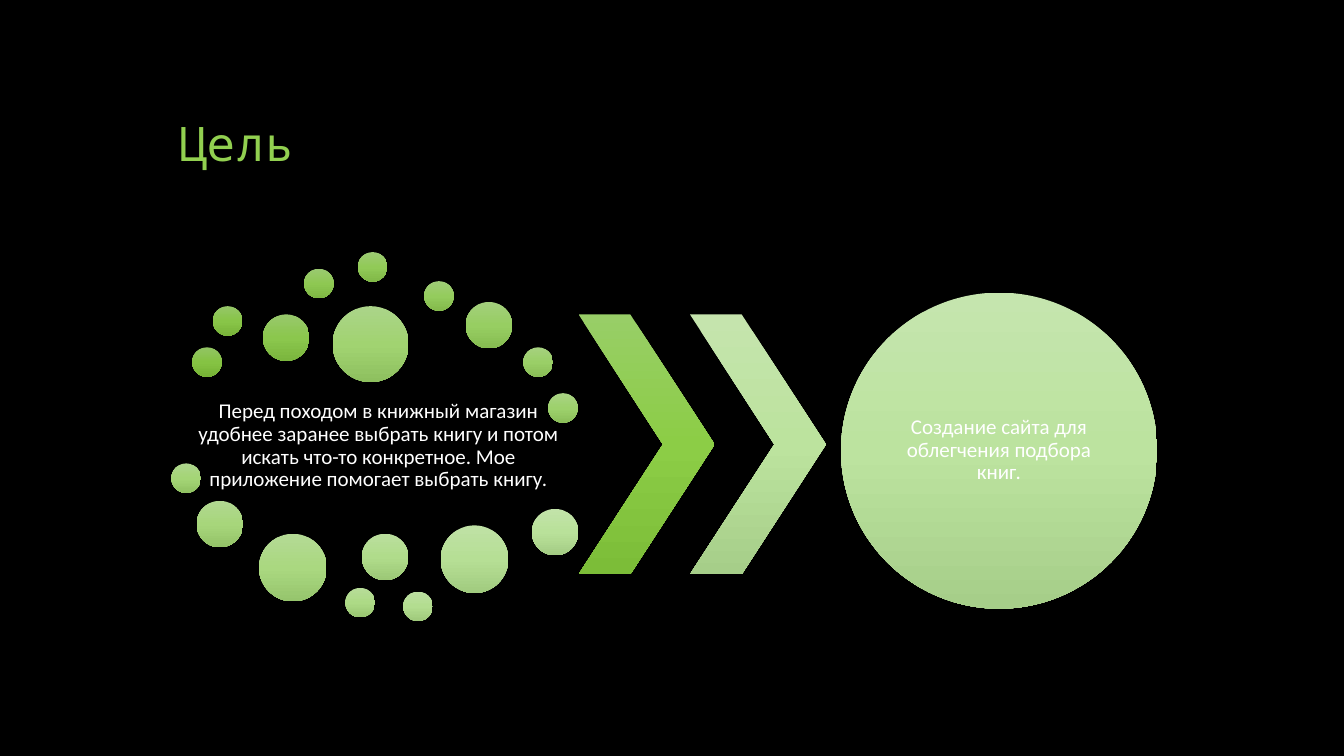
import copy

import pptx
import pptx.dml.color
import pptx.enum.shapes
import pptx.enum.text
import pptx.oxml.ns
import pptx.util

COLUMNS, ROWS = 80, 45
SMALL, MEDIUM, LARGE, LARGEST = 1.76, 2.77, 4.03, 4.52

# Column, row and diameter of each bubble, from the darkest to the lightest.
BUBBLES = [
    (11.44, 20.68, SMALL), (12.67, 18.23, SMALL), (15.65, 18.72, MEDIUM),
    (18.1, 16, SMALL), (21.3, 15.01, SMALL), (25.25, 16.74, SMALL),
    (27.72, 17.98, MEDIUM), (31.15, 20.68, SMALL), (32.63, 23.41, SMALL),
    (19.8, 18.23, LARGEST), (10.2, 27.59, SMALL), (11.7, 29.82, MEDIUM),
    (15.42, 31.78, LARGE), (20.56, 35, SMALL), (21.54, 31.78, MEDIUM),
    (24, 35.22, SMALL), (26.23, 31.28, LARGE), (31.66, 30.3, MEDIUM),
]
DARKEST = ("92C464", "85C343", "76B335")
LIGHTEST = ("C2E3A9", "B9E19A", "A4CC84")
CHEVRONS = [
    (34.44, ("98CE67", "8CCD46", "7CBD38")),
    (41.07, ("C5E4AD", "BCE39E", "A6CE89")),
]
GOAL_COLORS = ("C5E5AE", "BCE39F", "A6CE89")
PROBLEM = ("Перед походом в книжный магазин удобнее заранее выбрать книгу и потом "
           "искать что-то конкретное. Мое приложение помогает выбрать книгу.")
GOAL = "Создание сайта для облегчения подбора книг."


def rgb(value):
    return pptx.dml.color.RGBColor.from_string(value)


def blend(start, end, share):
    """Return the hex colour lying at the given share of the way from start to end."""
    pairs = zip(bytes.fromhex(start), bytes.fromhex(end))
    return "".join(f"{round(a + (b - a) * share):02X}" for a, b in pairs)


class GoalSlide:
    body_font, title_font = "Calibri", "Noto Sans Mono"
    body_size, title_size = 15, 34
    white, green, black = "FFFFFF", "92D050", "000000"

    def __init__(self, presentation):
        self.cell = presentation.slide_width / COLUMNS
        self.slide = presentation.slides.add_slide(presentation.slide_layouts[5])
        background = self.slide.background.fill
        background.solid()
        background.fore_color.rgb = rgb(self.black)

    def box(self, *cells):
        return [round(count * self.cell) for count in cells]

    def style(self, paragraph, font_name, size, color, alignment):
        paragraph.alignment = alignment
        paragraph.line_spacing = 0.9
        paragraph.font.name = font_name
        paragraph.font.size = pptx.util.Pt(size)
        paragraph.font.color.rgb = rgb(color)

    def title(self, text, *cells):
        heading = self.slide.shapes.title
        heading.left, heading.top, heading.width, heading.height = self.box(*cells)
        frame = heading.text_frame
        frame.text = text
        frame.auto_size = pptx.enum.text.MSO_AUTO_SIZE.NONE
        frame.vertical_anchor = pptx.enum.text.MSO_ANCHOR.BOTTOM
        self.style(frame.paragraphs[0], self.title_font, self.title_size,
                   self.green, pptx.enum.text.PP_ALIGN.LEFT)

    def text(self, text, *cells, inset=0):
        frame = self.slide.shapes.add_textbox(*self.box(*cells)).text_frame
        frame.text = text
        frame.word_wrap = True
        frame.vertical_anchor = pptx.enum.text.MSO_ANCHOR.MIDDLE
        margin = pptx.util.Inches(inset)
        frame.margin_left = frame.margin_right = margin
        frame.margin_top = frame.margin_bottom = margin
        self.style(frame.paragraphs[0], self.body_font, self.body_size,
                   self.white, pptx.enum.text.PP_ALIGN.CENTER)

    def shape(self, kind, colors, *cells):
        """Add a borderless shape with a three-stop gradient from top to bottom."""
        shape = self.slide.shapes.add_shape(kind, *self.box(*cells))
        shape.shadow.inherit = False
        shape.line.fill.background()
        shape.fill.gradient()
        shape.fill.gradient_angle = 270
        stop_list = shape._element.spPr.find(".//" + pptx.oxml.ns.qn("a:gsLst"))
        stop_list.append(copy.deepcopy(stop_list[-1]))
        for stop, color, position in zip(shape.fill.gradient_stops, colors, (0, 0.5, 1)):
            stop.color.rgb = rgb(color)
            stop.position = position
        return shape

    def circle(self, colors, column, row, diameter):
        self.shape(pptx.enum.shapes.MSO_SHAPE.OVAL, colors,
                   column, row, diameter, diameter)

    def chevron(self, colors, *cells):
        arrow = self.shape(pptx.enum.shapes.MSO_SHAPE.CHEVRON, colors, *cells)
        arrow.adjustments[0] = 0.62


def main():
    presentation = pptx.Presentation()
    presentation.slide_width = pptx.util.Inches(13.33)
    presentation.slide_height = pptx.util.Inches(7.5)

    goal_slide = GoalSlide(presentation)
    goal_slide.title("Цель", 10, 3, 60, 7.5)
    goal_slide.text(PROBLEM, 11.46, 22.9, 22.14, 7.32, inset=0.02)
    for index, bubble in enumerate(BUBBLES):
        share = index / (len(BUBBLES) - 1)
        colors = [blend(dark, light, share) for dark, light in zip(DARKEST, LIGHTEST)]
        goal_slide.circle(colors, *bubble)
    for column, colors in CHEVRONS:
        goal_slide.chevron(colors, column, 18.72, 8.1, 15.48)
    goal_slide.circle(GOAL_COLORS, 50.06, 17.42, 18.82)
    goal_slide.text(GOAL, 52.8, 20.16, 13.32, 13.32)

    presentation.save("out.pptx")


if __name__ == "__main__":
    main()
